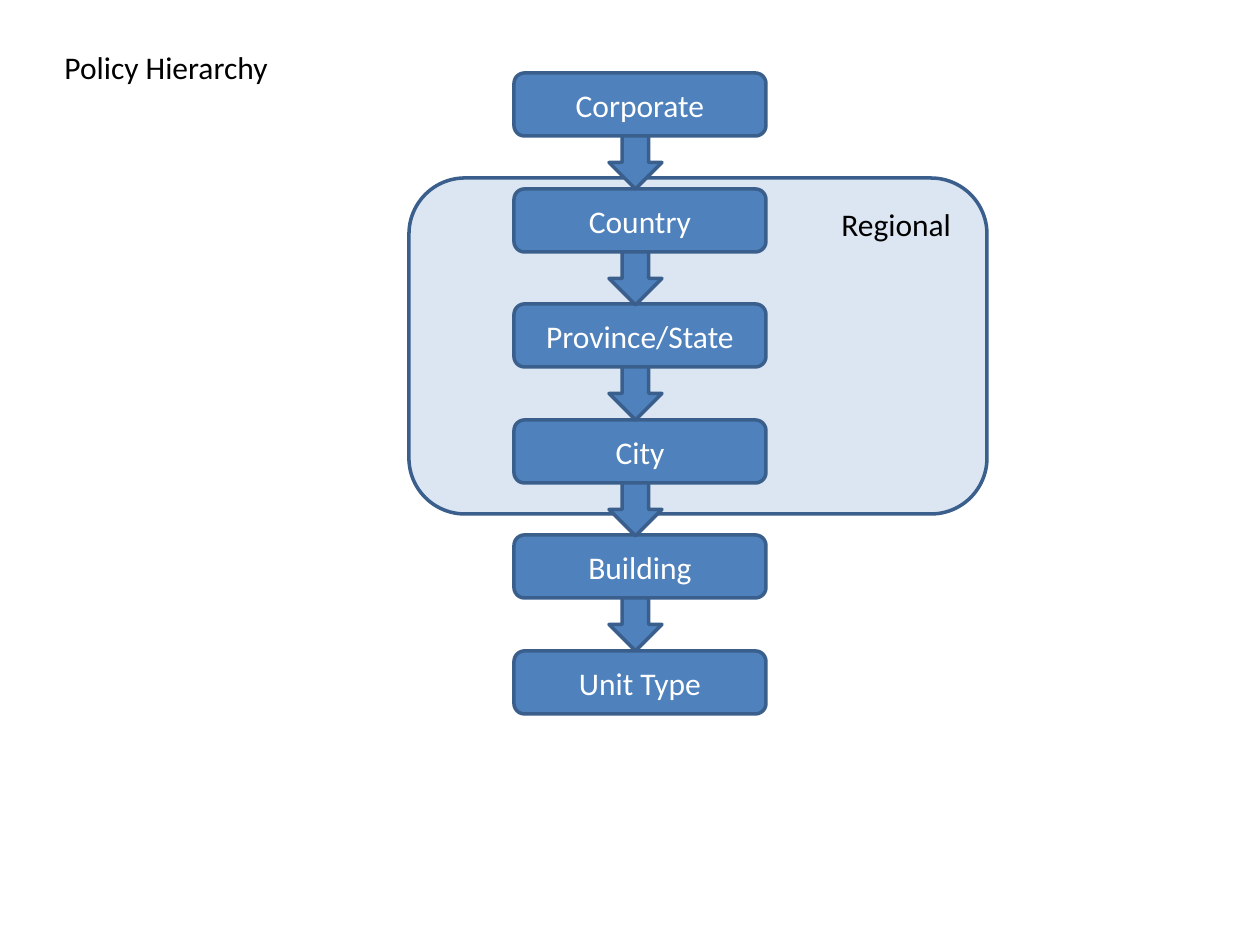
import dataclasses
import pptx
import pptx.dml.color
import pptx.enum.shapes
import pptx.enum.text
import pptx.util

SCALE = 914400 / 126
HEX = {"blue": "4F81BD", "edge": "3A5F8C", "pale": "DCE6F2",
       "white": "FFFFFF", "black": "000000"}
LEVELS = ["Corporate", "Country", "Province/State", "City", "Building", "Unit Type"]
KIND = pptx.enum.shapes.MSO_SHAPE
FIT = pptx.enum.text.MSO_AUTO_SIZE
ALIGN = pptx.enum.text.PP_ALIGN
ANCHOR = pptx.enum.text.MSO_ANCHOR
FONT = {"name": "Calibri", "size": pptx.util.Pt(18)}
BOXED = {"word_wrap": True, "vertical_anchor": ANCHOR.MIDDLE}
LABEL = {"auto_size": FIT.SHAPE_TO_FIT_TEXT, "vertical_anchor": ANCHOR.TOP}


@dataclasses.dataclass
class Block:
    """A filled shape with optional text, measured in pixels."""
    kind: KIND
    left: int
    top: int
    width: int
    height: int
    fill: str = "blue"
    text: str = ""


@dataclasses.dataclass
class Label:
    """A free line of text, measured in pixels."""
    text: str
    left: int
    top: int
    width: int
    height: int
    wrap: bool


def emu(size: int) -> int:
    """Turn pixels into EMU."""
    return round(size * SCALE)


def place(item: Block | Label) -> list[int]:
    """Give the frame of an item in EMU."""
    return [emu(size) for size in (item.left, item.top, item.width, item.height)]


def tint(name: str) -> pptx.dml.color.RGBColor:
    """Look up a colour by name."""
    return pptx.dml.color.RGBColor.from_string(HEX[name])


def style(target: object, values: dict) -> None:
    """Set each attribute in the dict."""
    for key, value in values.items():
        setattr(target, key, value)


def write(shape: object, text: str, color: str, frame: dict, align: ALIGN) -> None:
    """Put formatted text in a shape."""
    style(shape.text_frame, frame)
    para = shape.text_frame.paragraphs[0]
    para.alignment = align
    run = para.add_run()
    run.text = text
    style(run.font, FONT)
    run.font.color.rgb = tint(color)


def draw(slide: object, block: Block) -> None:
    """Draw one block."""
    shape = slide.shapes.add_shape(block.kind, *place(block))
    shape.shadow.inherit = False
    shape.fill.solid()
    shape.fill.fore_color.rgb = tint(block.fill)
    shape.line.color.rgb = tint("edge")
    shape.line.width = pptx.util.Pt(2)
    if block.text:
        write(shape, block.text, "white", BOXED, ALIGN.CENTER)


def note(slide: object, label: Label) -> None:
    """Draw one label."""
    shape = slide.shapes.add_textbox(*place(label))
    frame = LABEL | {"word_wrap": label.wrap}
    write(shape, label.text, "black", frame, ALIGN.LEFT)


def main() -> None:
    """Build the policy hierarchy slide."""
    deck = pptx.Presentation()
    style(deck, {"slide_width": emu(1260), "slide_height": emu(945)})
    slide = deck.slides.add_slide(deck.slide_layouts[6])
    tops = [73 + (231 * step + 1) // 2 for step in range(len(LEVELS))]
    panel = Block(KIND.ROUNDED_RECTANGLE, 409, 178, 578, 336, "pale")
    boxes = [Block(KIND.ROUNDED_RECTANGLE, 514, top, 252, 63, text=text)
             for top, text in zip(tops, LEVELS)]
    arrows = [Block(KIND.DOWN_ARROW, 609, top + 63, 53, 53) for top in tops[:-1]]
    for block in [panel, *boxes, *arrows]:
        draw(slide, block)
    for label in [Label("Regional", 829, 199, 200, 50, True),
                  Label("Policy Hierarchy", 52, 42, 231, 50, False)]:
        note(slide, label)
    deck.save("out.pptx")


main()
